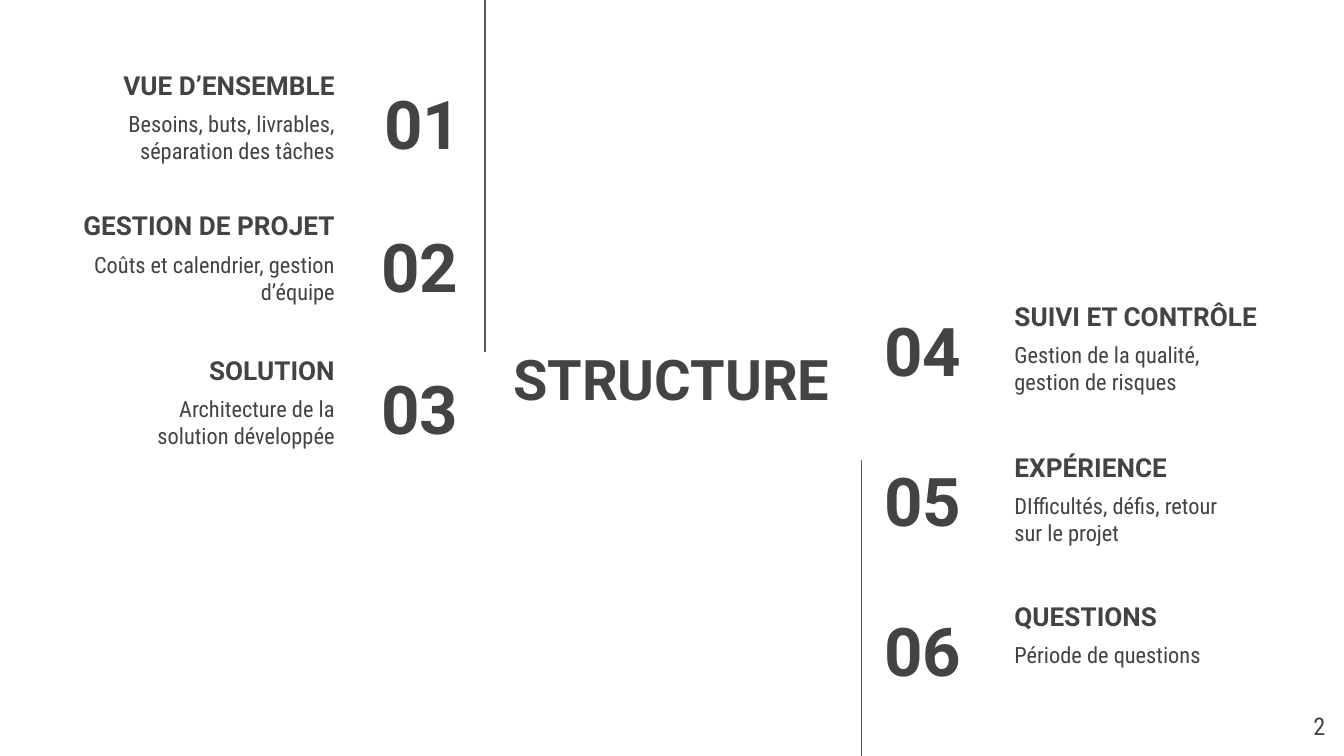
from pptx import Presentation
from pptx.dml.color import RGBColor
from pptx.enum.shapes import MSO_CONNECTOR
from pptx.enum.text import MSO_ANCHOR, MSO_AUTO_SIZE, PP_ALIGN
from pptx.oxml.ns import qn
from pptx.util import Inches, Pt
from lxml.etree import SubElement

TEXT_COLOR = "434343"
LINE_COLOR = "595959"
BOX_HEIGHT = 0.63
LEFT_EDGE = 2.59
RIGHT_EDGE = 7.45

LEFT_SECTIONS = [
    {"number": ("01", 2.32, 0.6), "heading": ("VUE D’ENSEMBLE", 2.16, 0.22),
     "description": ("Besoins, buts, livrables, séparation des tâches", 2.25, 0.72)},
    {"number": ("02", 2.3, 1.66), "heading": ("GESTION DE PROJET", 2.59, 1.26),
     "description": ("Coûts et calendrier, gestion d’équipe", 2.25, 1.77)},
    {"number": ("03", 2.3, 2.72), "heading": ("SOLUTION", 2.59, 2.34),
     "description": ("Architecture de la solution développée", 1.83, 2.84)},
]
RIGHT_SECTIONS = [
    {"number": ("04", 6.48, 2.29), "heading": ("SUIVI ET CONTRÔLE", 2.16, 1.94),
     "description": ("Gestion de la qualité, gestion de risques", 1.83, 2.44)},
    {"number": ("05", 6.48, 3.4), "heading": ("EXPÉRIENCE", 2.16, 3.06),
     "description": ("DIfficultés, défis, retour sur le projet", 1.83, 3.56)},
    {"number": ("06", 6.48, 4.52), "heading": ("QUESTIONS", 2.16, 4.17),
     "description": ("Période de questions", 1.83, 4.67)},
]
DIVIDERS = [(3.61, 0, 2.62), (6.41, 3.42, 5.64)]


def color(value):
    """Turn a hex string into a colour."""
    return RGBColor.from_string(value)


def write(shape, text, size, align, anchor=MSO_ANCHOR.MIDDLE, font="Roboto", bold=True):
    """Fill a shape with one formatted paragraph."""
    frame = shape.text_frame
    frame.word_wrap = True
    frame.auto_size = MSO_AUTO_SIZE.NONE
    frame.vertical_anchor = anchor
    frame.margin_left = frame.margin_right = Inches(0.1)
    frame.margin_top = frame.margin_bottom = Inches(0.1)
    paragraph = frame.paragraphs[0]
    paragraph.text = text
    paragraph.alignment = align
    paragraph.font.name = font
    paragraph.font.size = Pt(size)
    paragraph.font.bold = bold
    paragraph.font.color.rgb = color(TEXT_COLOR)


def add_text(slide, left, top, width, height, *content, **style):
    """Add a text box with one formatted paragraph."""
    box = slide.shapes.add_textbox(Inches(left), Inches(top), Inches(width), Inches(height))
    write(box, *content, **style)


def add_section(slide, section, on_left):
    """Add the number, heading and description of a section."""
    align = PP_ALIGN.RIGHT if on_left else PP_ALIGN.LEFT
    number, left, top = section["number"]
    add_text(slide, left, top, 1.21 if on_left else 1.17, BOX_HEIGHT, number, 36, align)

    heading, width, top = section["heading"]
    left = LEFT_EDGE - width if on_left else RIGHT_EDGE
    add_text(slide, left, top, width, BOX_HEIGHT, heading, 14, align, anchor=MSO_ANCHOR.BOTTOM)

    description, width, top = section["description"]
    left = LEFT_EDGE - width if on_left else RIGHT_EDGE
    add_text(slide, left, top, width, BOX_HEIGHT, description, 12, align,
             anchor=MSO_ANCHOR.TOP, font="Roboto Condensed", bold=False)


def add_divider(slide, x, top, bottom):
    """Add a thin vertical line."""
    line = slide.shapes.add_connector(
        MSO_CONNECTOR.STRAIGHT, Inches(x), Inches(top), Inches(x), Inches(bottom))
    line.line.color.rgb = color(LINE_COLOR)
    line.line.width = Pt(0.75)
    SubElement(line._element.spPr, qn("a:effectLst"))


def main():
    """Build and save the presentation."""
    presentation = Presentation()
    presentation.slide_width = Inches(10)
    presentation.slide_height = Inches(10) * 9 // 16
    slide = presentation.slides.add_slide(presentation.slide_layouts[5])

    title = slide.shapes.title
    title.left, title.top = Inches(3.7), Inches(2.3)
    title.width, title.height = Inches(2.59), Inches(1.03)
    write(title, "STRUCTURE", 30, PP_ALIGN.CENTER)

    for section in LEFT_SECTIONS:
        add_section(slide, section, on_left=True)
    for section in RIGHT_SECTIONS:
        add_section(slide, section, on_left=False)
    for divider in DIVIDERS:
        add_divider(slide, *divider)
    add_text(slide, 9.36, 5.19, 0.6, 0.43, "2", 13, PP_ALIGN.RIGHT,
             anchor=MSO_ANCHOR.TOP, font="Roboto Condensed", bold=False)

    presentation.save("out.pptx")


if __name__ == "__main__":
    main()
